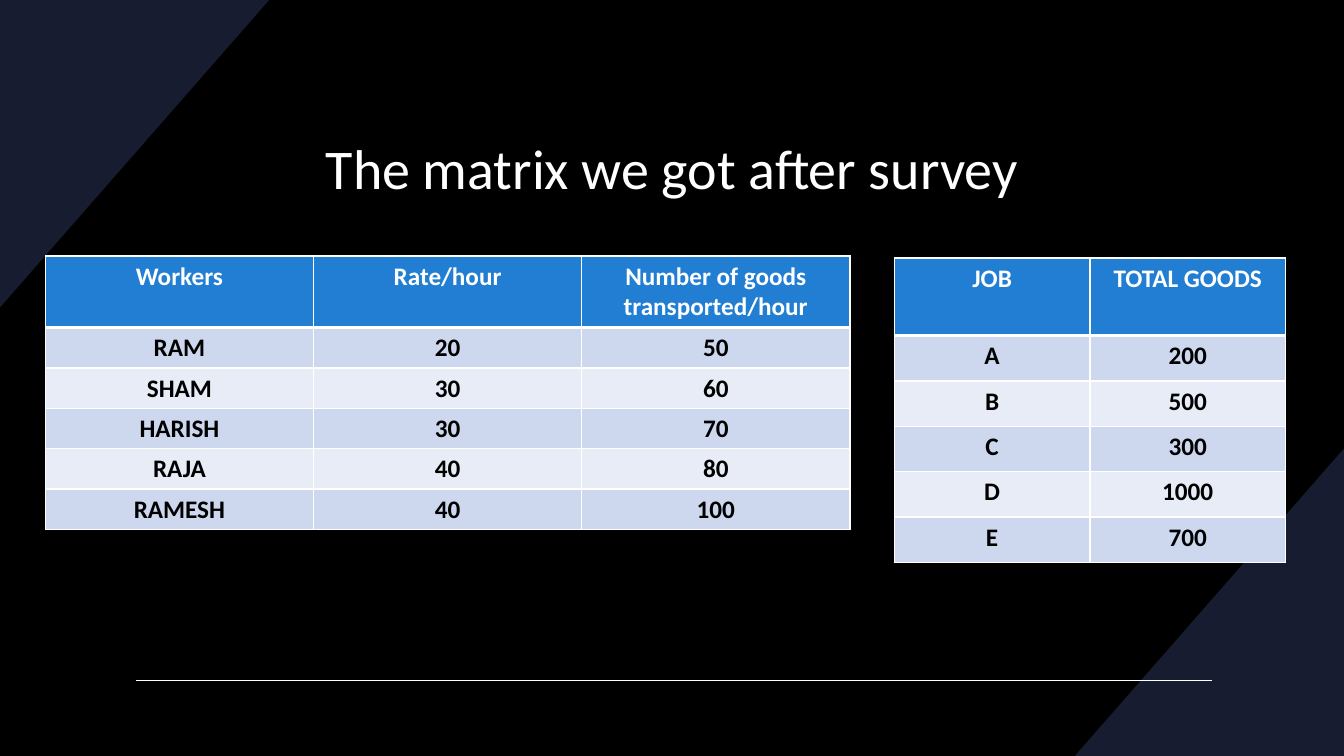
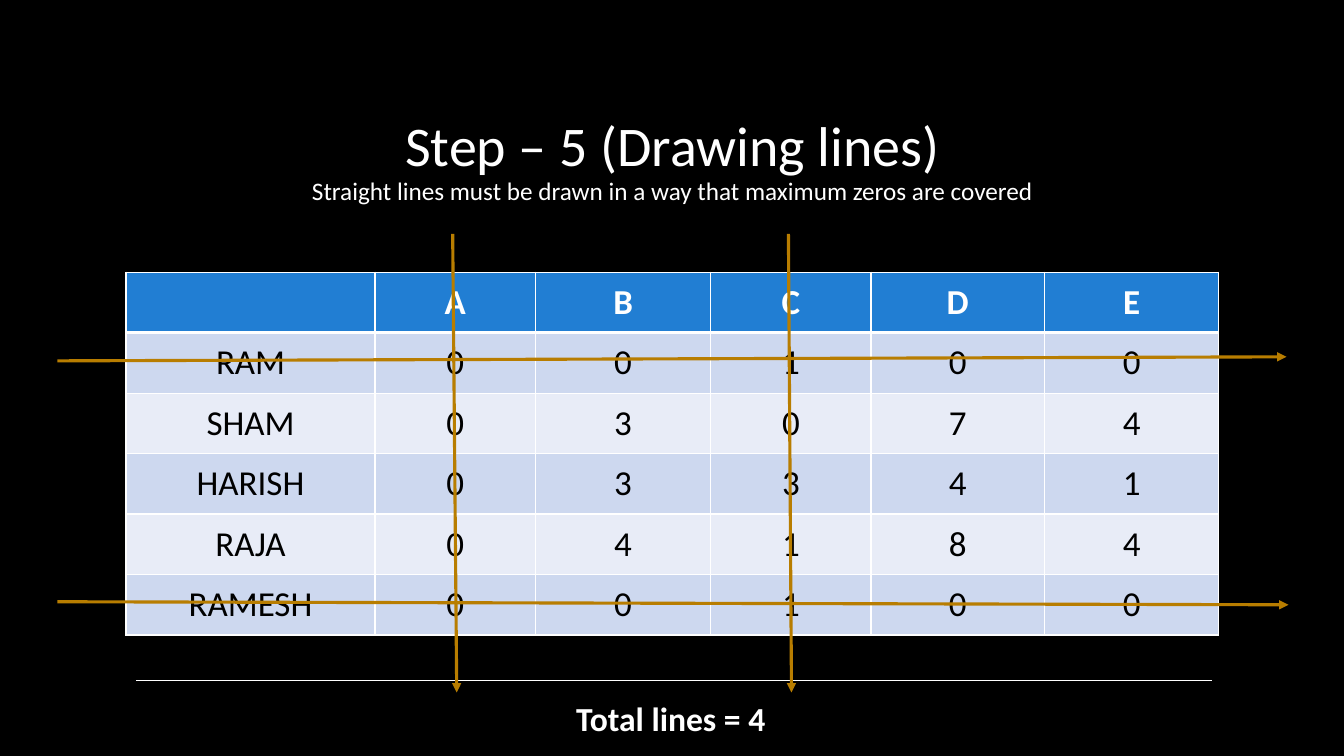
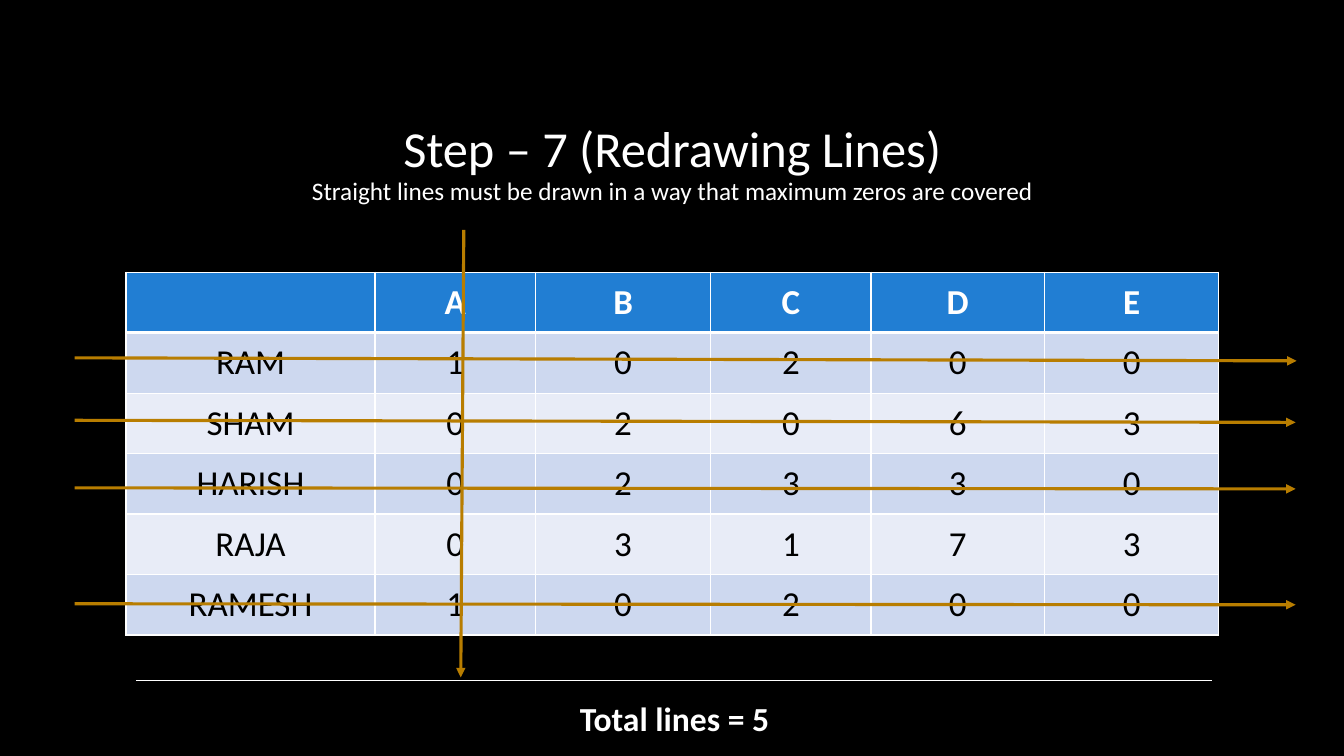
import dataclasses

import lxml.etree
import pptx
import pptx.dml.color
import pptx.enum.shapes
import pptx.enum.text
import pptx.oxml
import pptx.oxml.ns
import pptx.util

Inches = pptx.util.Inches
Pt = pptx.util.Pt
RGB = pptx.dml.color.RGBColor.from_string
qn = pptx.oxml.ns.qn
ANCHOR = pptx.enum.text.MSO_ANCHOR
AUTO_SIZE = pptx.enum.text.MSO_AUTO_SIZE


@dataclasses.dataclass(frozen=True)
class Theme:
    font: str = "Calibri"
    background: str = "000000"
    corner: str = "181C30"
    light: str = "FFFFFF"
    dark: str = "000000"
    header: str = "217ED3"
    bands: tuple = ("CDD8EF", "E8ECF7")
    arrow: str = "B87D00"
    title: int = 40
    small_title: int = 36
    matrix: int = 25
    total: int = 24
    body: int = 18
    rule_width: float = 1
    header_rule_width: float = 3
    arrow_width: float = 2.25


theme = Theme()
WIDTH, HEIGHT = 13.33, 7.5
CORNER_W, CORNER_H = 2.67, 3.05
CORNERS = [
    [(0, 0), (CORNER_W, 0), (0, CORNER_H)],
    [(WIDTH, HEIGHT - CORNER_H), (WIDTH, HEIGHT), (WIDTH - CORNER_W, HEIGHT)],
]
RULE = (1.35, 6.75, 12.02, 6.75)
STEP_TITLE = dict(box=(1.92, 0.99, 9.5, 1.1), anchor=ANCHOR.BOTTOM)
STEP_NOTE = "Straight lines must be drawn in a way that maximum zeros are covered"
TOTAL_BOX = (4.08, 6.87, 5.22, 0.5)
SURVEY_FORMAT = dict(size=theme.body, bold=True, cell={})
MATRIX_FORMAT = dict(
    at=(1.25, 2.7), cols=[2.47, 1.59, 1.74, 1.59, 1.72, 1.73], rows=[0.6] * 6,
    size=theme.matrix, bold=False,
    cell=dict(vertical_anchor=ANCHOR.MIDDLE,
              margin_left=Inches(0.14), margin_right=Inches(0.14),
              margin_top=Inches(0.07), margin_bottom=Inches(0.07)),
)
MATRIX_HEADER = ["", "A", "B", "C", "D", "E"]

slides = [
    dict(
        corners=CORNERS,
        title=dict(box=(1.25, 0.95, 10.83, 1.49), anchor=ANCHOR.MIDDLE,
                   lines=[("The matrix we got after survey", theme.title)]),
        tables=[
            dict(SURVEY_FORMAT, at=(0.45, 2.54), cols=[2.66] * 3, rows=[0.71] + [0.4] * 5,
                 values=[
                     ["Workers", "Rate/hour", "Number of goods transported/hour"],
                     ["RAM", "20", "50"],
                     ["SHAM", "30", "60"],
                     ["HARISH", "30", "70"],
                     ["RAJA", "40", "80"],
                     ["RAMESH", "40", "100"],
                 ]),
            dict(SURVEY_FORMAT, at=(8.87, 2.56), cols=[1.94] * 2, rows=[0.77] + [0.45] * 5,
                 values=[
                     ["JOB", "TOTAL GOODS"],
                     ["A", "200"],
                     ["B", "500"],
                     ["C", "300"],
                     ["D", "1000"],
                     ["E", "700"],
                 ]),
        ],
        total=None,
        arrows=[],
    ),
    dict(
        corners=[],
        title=dict(STEP_TITLE, lines=[("Step – 5 (Drawing lines)", theme.title),
                                      (STEP_NOTE, theme.body)]),
        tables=[dict(MATRIX_FORMAT, values=[
            MATRIX_HEADER,
            ["RAM", "0", "0", "1", "0", "0"],
            ["SHAM", "0", "3", "0", "7", "4"],
            ["HARISH", "0", "3", "3", "4", "1"],
            ["RAJA", "0", "4", "1", "8", "4"],
            ["RAMESH", "0", "0", "1", "0", "0"],
        ])],
        total="Total lines = 4 ",
        arrows=[
            (4.49, 2.32, 4.53, 6.87),
            (0.57, 5.97, 12.78, 6),
            (0.57, 3.58, 12.76, 3.54),
            (7.82, 2.32, 7.85, 6.87),
        ],
    ),
    dict(
        corners=[],
        title=dict(STEP_TITLE, lines=[("Step – 7 (Redrawing Lines)", theme.small_title),
                                      (STEP_NOTE, theme.body)]),
        tables=[dict(MATRIX_FORMAT, values=[
            MATRIX_HEADER,
            ["RAM", "1", "0", "2", "0", "0"],
            ["SHAM", "0", "2", "0", "6", "3"],
            ["HARISH", "0", "2", "3", "3", "0"],
            ["RAJA", "0", "3", "1", "7", "3"],
            ["RAMESH", "1", "0", "2", "0", "0"],
        ])],
        total="Total lines = 5",
        arrows=[
            (0.74, 3.55, 12.86, 3.58),
            (0.74, 4.17, 12.85, 4.19),
            (0.74, 4.84, 12.85, 4.85),
            (0.74, 5.99, 12.85, 6),
            (4.6, 2.28, 4.57, 6.72),
        ],
    ),
]


def add_run(p, text, size, color, bold=False):
    p.alignment = pptx.enum.text.PP_ALIGN.CENTER
    r = p.add_run()
    r.text = text
    for name, value in dict(name=theme.font, size=Pt(size), bold=bold).items():
        setattr(r.font, name, value)
    r.font.color.rgb = RGB(color)


def add_line(s, ends, color, width):
    line = s.shapes.add_connector(pptx.enum.shapes.MSO_CONNECTOR.STRAIGHT, *map(Inches, ends))
    line.line.color.rgb = RGB(color)
    line.line.width = Pt(width)
    lxml.etree.SubElement(line._element.spPr, qn("a:effectLst"))
    return line


prs = pptx.Presentation()
prs.slide_width = Inches(WIDTH)
prs.slide_height = Inches(HEIGHT)
fill = prs.slide_master.background.fill
fill.solid()
fill.fore_color.rgb = RGB(theme.background)

for spec_slide in slides:
    s = prs.slides.add_slide(prs.slide_layouts[6])

    for points in spec_slide["corners"]:
        start, *rest = [(Inches(x), Inches(y)) for x, y in points]
        builder = s.shapes.build_freeform(*start)
        builder.add_line_segments(rest, close=True)
        sp = builder.convert_to_shape()
        sp.shadow.inherit = False
        sp.fill.solid()
        sp.fill.fore_color.rgb = RGB(theme.corner)
        sp.line.fill.background()

    add_line(s, RULE, theme.light, theme.rule_width)

    title = spec_slide["title"]
    tf = s.shapes.add_textbox(*map(Inches, title["box"])).text_frame
    tf.word_wrap = True
    tf.vertical_anchor = title["anchor"]
    p = tf.paragraphs[0]
    p.line_spacing = 0.9
    for i, (text, size) in enumerate(title["lines"]):
        if i:
            p.add_line_break()
        add_run(p, text, size, theme.light)

    for grid in spec_slide["tables"]:
        cols, rows = grid["cols"], grid["rows"]
        box = (*grid["at"], sum(cols), sum(rows))
        table = s.shapes.add_table(len(rows), len(cols), *map(Inches, box)).table
        for column, width in zip(table.columns, cols):
            column.width = Inches(width)
        for row, height in zip(table.rows, rows):
            row.height = Inches(height)
        for i, values in enumerate(grid["values"]):
            for j, text in enumerate(values):
                cell = table.cell(i, j)
                for name, value in grid["cell"].items():
                    setattr(cell, name, value)
                tcPr = cell._tc.get_or_add_tcPr()
                for side in ("L", "R", "T", "B"):
                    thick = (i, side) in ((0, "B"), (1, "T"))
                    width = theme.header_rule_width if thick else theme.rule_width
                    ln = lxml.etree.SubElement(tcPr, qn("a:ln" + side), w=str(Pt(width)))
                    solid = lxml.etree.SubElement(ln, qn("a:solidFill"))
                    lxml.etree.SubElement(solid, qn("a:srgbClr"), val=theme.light)
                cell.fill.solid()
                cell.fill.fore_color.rgb = RGB(theme.bands[(i - 1) % 2] if i else theme.header)
                if text:
                    add_run(cell.text_frame.paragraphs[0], text, grid["size"],
                            theme.dark if i else theme.light, grid["bold"] or i == 0)

    if spec_slide["total"]:
        tf = s.shapes.add_textbox(*map(Inches, TOTAL_BOX)).text_frame
        tf.word_wrap = True
        tf.auto_size = AUTO_SIZE.SHAPE_TO_FIT_TEXT
        add_run(tf.paragraphs[0], spec_slide["total"], theme.total, theme.light, True)

    for ends in spec_slide["arrows"]:
        arrow = add_line(s, ends, theme.arrow, theme.arrow_width)
        lxml.etree.SubElement(arrow.line._get_or_add_ln(), qn("a:tailEnd"), type="triangle")

prs.save("out.pptx")
